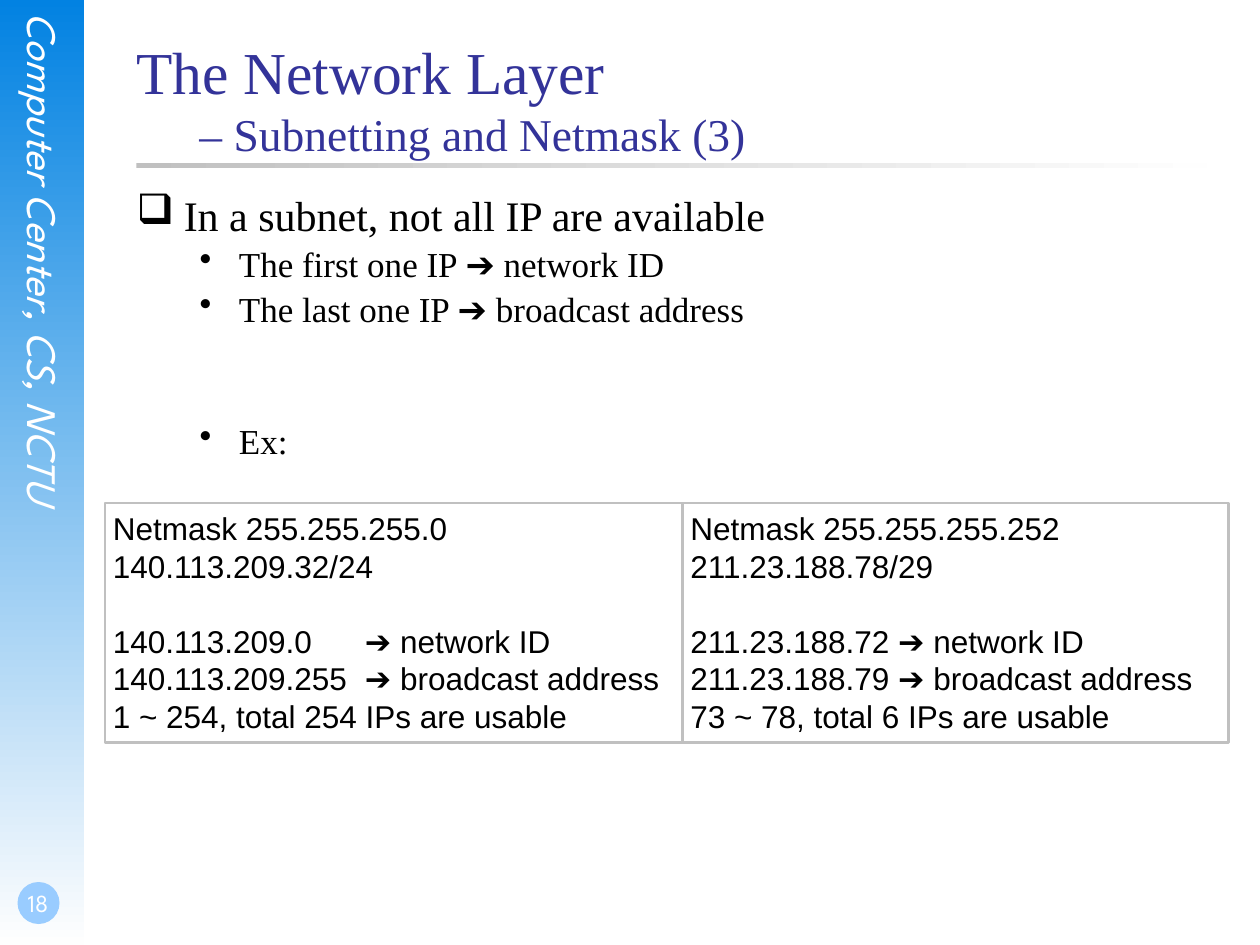
from pptx import Presentation
from pptx.dml.color import RGBColor
from pptx.enum.shapes import MSO_SHAPE
from pptx.enum.text import MSO_ANCHOR, PP_ALIGN
from pptx.oxml.ns import qn
from pptx.util import Pt
from lxml.etree import SubElement

BLUE = RGBColor(0x02, 0x82, 0xE2)
PALE = RGBColor(0xFE, 0xFE, 0xFE)
SKY = RGBColor(0x99, 0xCC, 0xFF)
NAVY = RGBColor(0x33, 0x33, 0x99)
GRAY = RGBColor(0xC0, 0xC0, 0xC0)
WHITE = RGBColor(0xFF, 0xFF, 0xFF)
BLACK = RGBColor(0, 0, 0)
SERIF, SANS, SIDE = "Times New Roman", "Arial", "League Spartan"


def add_box(slide, kind, x, y, w, h):
    box = slide.shapes.add_shape(kind, Pt(x), Pt(y), Pt(w), Pt(h))
    box.shadow.inherit = False
    box.line.fill.background()
    return box


def add_fade(slide, x, y, w, h, start, angle):
    box = add_box(slide, MSO_SHAPE.RECTANGLE, x, y, w, h)
    box.fill.gradient()
    box.fill.gradient_angle = angle
    for stop, color in zip(box.fill.gradient_stops, (start, PALE)):
        stop.color.rgb = color


def set_frame(frame, left=0, top=0, right=0, bottom=0):
    frame.word_wrap = True
    frame.vertical_anchor = MSO_ANCHOR.TOP
    frame.margin_left, frame.margin_top = Pt(left), Pt(top)
    frame.margin_right, frame.margin_bottom = Pt(right), Pt(bottom)
    return frame


def add_text(slide, x, y, w, h):
    return set_frame(slide.shapes.add_textbox(Pt(x), Pt(y), Pt(w), Pt(h)).text_frame)


def add_run(para, text, size, font, color=BLACK):
    run = para.add_run()
    run.text = text
    run.font.size, run.font.name = Pt(size), font
    run.font.color.rgb = color
    return run


def next_para(frame, index):
    return frame.add_paragraph() if index else frame.paragraphs[0]


def set_bullet(para, mark, left, hang):
    props = para._p.get_or_add_pPr()
    props.set("marL", str(Pt(left)))
    props.set("indent", str(-Pt(hang)))
    SubElement(props, qn("a:buChar")).set("char", mark)


def draw_side(slide, x, y, w, h):
    # Blue band with vertical label
    add_fade(slide, x, y, w, h, BLUE, 270)
    frame = add_text(slide, x + 10.8, y + 7.2, 28.8, 368)
    frame._txBody.bodyPr.set("vert", "eaVert")
    para = frame.paragraphs[0]
    para.alignment = PP_ALIGN.CENTER
    add_run(para, "Computer Center, CS, NCTU", 24, SIDE, WHITE).font.italic = True

    # Page number on a disc
    disc = add_box(slide, MSO_SHAPE.OVAL, x + 10, y + 504, 24, 24)
    disc.fill.solid()
    disc.fill.fore_color.rgb = SKY
    frame = add_text(slide, x, y + 492, 42, 36)
    set_frame(frame, left=1.5, bottom=3.6).vertical_anchor = MSO_ANCHOR.BOTTOM
    para = frame.paragraphs[0]
    para.alignment = PP_ALIGN.CENTER
    add_run(para, "18", 14, SIDE, WHITE)


def draw_title(slide, x, y, w, h):
    add_fade(slide, x, y + 73, w, 3, GRAY, 0)
    para = add_text(slide, x, y, w, h).paragraphs[0]
    add_run(para, "The Network Layer", 34, SERIF, NAVY)
    para.add_line_break()
    add_run(para, "\t– Subnetting and Netmask (3)", 26, SERIF, NAVY)


def draw_body(slide, x, y, w, h):
    # Each item: level, space before, text parts around an arrow
    items = [
        (0, 0, ["In a subnet, not all IP are available"]),
        (1, 6.2, ["The first one IP ", "➔", " network ID"]),
        (1, 6.2, ["The last one IP ", "➔", " broadcast address"]),
        (1, 56.5, ["Ex:"]),
    ]
    styles = [("❑", 27, 27, 24), ("•", 58.5, 22.5, 20)]
    frame = add_text(slide, x, y, w, h)
    for index, (level, space, parts) in enumerate(items):
        mark, left, hang, size = styles[level]
        para = next_para(frame, index)
        para.level = level
        para.line_spacing, para.space_before = 0.8, Pt(space)
        set_bullet(para, mark, left, hang)
        for part in parts:
            add_run(para, part, size, SANS if part == "➔" else SERIF)


def draw_card(slide, x, y, w, h, lines):
    card = add_box(slide, MSO_SHAPE.RECTANGLE, x, y, w, h)
    card.fill.background()
    card.line.color.rgb, card.line.width = GRAY, Pt(1.5)
    frame = set_frame(card.text_frame, 4.5, 3.6, 1.5, 3.6)
    for index, line in enumerate(lines):
        para = next_para(frame, index)
        para.alignment = PP_ALIGN.LEFT
        # Gap between the netmask and its addresses
        para.space_before = Pt(21 if index == 2 else 0)
        add_run(para, line, 18, SANS)


def draw_cards(slide, x, y, h):
    cards = [
        (330, ["Netmask 255.255.255.0", "140.113.209.32/24",
               "140.113.209.0\t➔ network ID",
               "140.113.209.255\t➔ broadcast address",
               "1 ~ 254, total 254 IPs are usable"]),
        (312, ["Netmask 255.255.255.252", "211.23.188.78/29",
               "211.23.188.72 ➔ network ID",
               "211.23.188.79 ➔ broadcast address",
               "73 ~ 78, total 6 IPs are usable"]),
    ]
    for w, lines in cards:
        draw_card(slide, x, y, w, h, lines)
        x += w


def main():
    deck = Presentation()
    deck.slide_width, deck.slide_height = Pt(720), Pt(540)
    slide = deck.slides.add_slide(deck.slide_layouts[6])
    draw_side(slide, 0, 0, 48, 540)
    draw_title(slide, 78, 20, 612, 90)
    draw_body(slide, 78, 114, 558, 378)
    draw_cards(slide, 60, 287.5, 137)
    deck.save("out.pptx")


if __name__ == "__main__":
    main()
